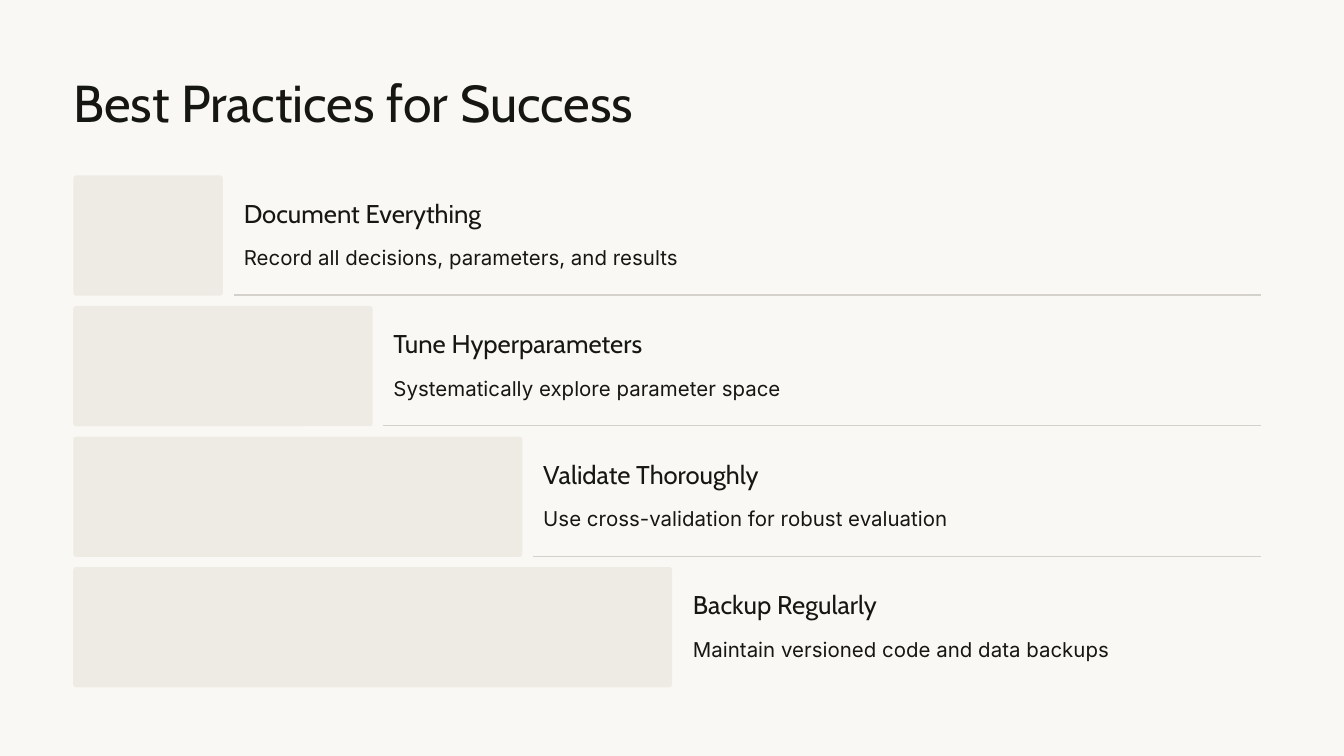
from lxml.etree import SubElement
from pptx import Presentation
from pptx.dml.color import RGBColor
from pptx.enum.shapes import MSO_CONNECTOR, MSO_SHAPE
from pptx.oxml.ns import qn
from pptx.util import Inches, Pt

TITLE = "Best Practices for Success"
# heading, heading width, detail, detail width
PRACTICES = [
    ("Document Everything", 3.96, "Record all decisions, parameters, and results", 6.57),
    ("Tune Hyperparameters", 4.2, "Systematically explore parameter space", 5.86),
    ("Validate Thoroughly", 3.88, "Use cross-validation for robust evaluation", 6.12),
    ("Backup Regularly", 3.88, "Maintain versioned code and data backups", 6.3),
]

PAPER, BAR, RULE, INK = "F9F8F5", "EDEBE3", "D3D1C9", "161613"
TITLE_STYLE = {"name": "Cabin", "size": Pt(55.6)}
HEADING_STYLE = {"name": "Cabin", "size": Pt(27.5)}
DETAIL_STYLE = {"name": "Inter", "size": Pt(21.9)}

LEFT, RIGHT = 1.09, 18.76
FIRST_TOP, ROW_STEP = 2.61, 1.943
BAR_HEIGHT, BAR_STEP, BAR_RADIUS = 1.79, 2.228, 0.045
TEXT_GAP, RULE_GAP = 0.31, 0.16


def color(hex_text):
    return RGBColor.from_string(hex_text)


def add_text(page, text, left, top, width, height, style, line_height):
    box = page.shapes.add_textbox(Inches(left), Inches(top), Inches(width), Inches(height))
    frame = box.text_frame
    frame.word_wrap = True
    for side in ("left", "top", "right", "bottom"):
        setattr(frame, f"margin_{side}", 0)
    para = frame.paragraphs[0]
    para.line_spacing = Pt(line_height)
    span = para.add_run()
    span.text = text
    for name, value in style.items():
        setattr(span.font, name, value)
    span.font.color.rgb = color(INK)


def add_bar(page, top, width):
    bar = page.shapes.add_shape(
        MSO_SHAPE.ROUNDED_RECTANGLE,
        Inches(LEFT), Inches(top), Inches(width), Inches(BAR_HEIGHT))
    bar.adjustments[0] = BAR_RADIUS / min(width, BAR_HEIGHT)
    bar.shadow.inherit = False
    bar.fill.solid()
    bar.fill.fore_color.rgb = color(BAR)
    bar.line.fill.background()


def add_rule(page, left, y):
    rule = page.shapes.add_connector(
        MSO_CONNECTOR.STRAIGHT, Inches(left), Inches(y), Inches(RIGHT), Inches(y))
    rule.line.width = Pt(1.25)
    rule.line.color.rgb = color(RULE)
    SubElement(rule._element.spPr, qn("a:effectLst"))


def main():
    deck = Presentation()
    deck.slide_width, deck.slide_height = Inches(20), Inches(11.25)
    page = deck.slides.add_slide(deck.slide_layouts[6])
    page.background.fill.solid()
    page.background.fill.fore_color.rgb = color(PAPER)

    add_text(page, TITLE, LEFT, 1.01, 9.72, 0.98, TITLE_STYLE, 69.4)
    for row, (heading, heading_width, detail, detail_width) in enumerate(PRACTICES):
        top = FIRST_TOP + row * ROW_STEP
        bar_width = (row + 1) * BAR_STEP
        bar_right = LEFT + bar_width
        text_left = bar_right + TEXT_GAP
        add_bar(page, top, bar_width)
        add_text(page, heading, text_left, top + 0.31, heading_width, 0.49, HEADING_STYLE, 34.4)
        add_text(page, detail, text_left, top + 0.91, detail_width, 0.57, DETAIL_STYLE, 35.6)
        if row < len(PRACTICES) - 1:
            add_rule(page, bar_right + RULE_GAP, top + BAR_HEIGHT - 0.01)

    deck.save("out.pptx")


if __name__ == "__main__":
    main()
